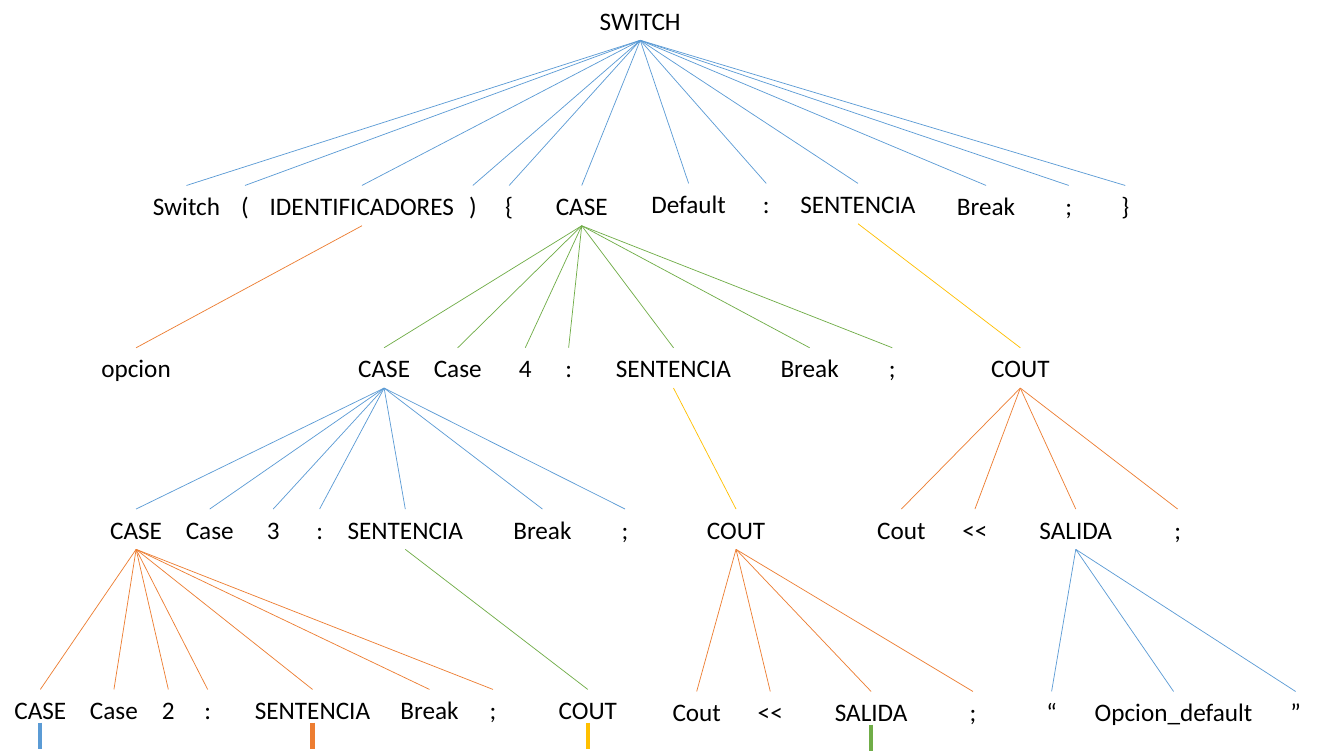
from collections import namedtuple

from lxml import etree
from pptx import Presentation
from pptx.dml.color import RGBColor
from pptx.enum.shapes import MSO_CONNECTOR
from pptx.enum.text import MSO_AUTO_SIZE, PP_ALIGN
from pptx.oxml.ns import qn
from pptx.util import Inches, Pt

COLORS = {"text": "000000", "blue": "5B9BD5", "orange": "ED7D31",
          "green": "70AD47", "gold": "FFC000"}
WIDTHS = {"SWITCH": 1.01, "Switch": 0.88, "IDENTIFICADORES": 2.05, "CASE": 0.72,
          "Default": 0.95, "SENTENCIA": 1.36, "Break": 0.78, "opcion": 0.9,
          "Case": 0.68, "COUT": 0.79, "Cout": 0.69, "<<": 0.45, "SALIDA": 0.93,
          "Opcion_default": 1.78, "4": 0.33, "3": 0.33, "2": 0.33,
          "“": 0.31, "”": 0.31}
SYMBOL_WIDTH = 0.28
NODE_HEIGHT = 0.4
COUT_PARTS = [("Cout", 0), ("<<", 0.73), ("SALIDA", 1.73), (";", 2.74)]

Node = namedtuple("Node", "center top")


def add_line(slide, start, end, color, weight=0.5):
    points = [Inches(value) for value in (*start, *end)]
    line = slide.shapes.add_connector(MSO_CONNECTOR.STRAIGHT, *points)
    line.line.color.rgb = RGBColor.from_string(COLORS[color])
    line.line.width = Pt(weight)
    etree.SubElement(line._element.spPr, qn("a:effectLst"))


def add_node(slide, text, center, top):
    width = WIDTHS.get(text, SYMBOL_WIDTH)
    box = slide.shapes.add_textbox(Inches(center - width / 2), Inches(top),
                                   Inches(width), Inches(NODE_HEIGHT))
    frame = box.text_frame
    frame.word_wrap = False
    frame.auto_size = MSO_AUTO_SIZE.SHAPE_TO_FIT_TEXT
    paragraph = frame.paragraphs[0]
    paragraph.alignment = PP_ALIGN.CENTER
    run = paragraph.add_run()
    run.text = text
    run.font.name = "Calibri"
    run.font.size = Pt(18)
    run.font.color.rgb = RGBColor.from_string(COLORS["text"])
    return Node(center, top)


def add_branch(slide, parent, color, left, top, children):
    nodes = {}
    for text, offset in children:
        nodes[text] = add_node(slide, text, left + offset, top)
        add_line(slide, (parent.center, parent.top + NODE_HEIGHT),
                 (left + offset, top), color)
    return nodes


def add_case(slide, parent, color, left, top, number, offsets):
    parts = ["CASE", "Case", number, ":", "SENTENCIA", "Break", ";"]
    return add_branch(slide, parent, color, left, top, zip(parts, offsets))


def add_cout(slide, parent, color, left, top):
    return add_branch(slide, parent, color, left, top, [("COUT", 0)])["COUT"]


def add_continuation(slide, node, color):
    top = node.top + 0.33
    add_line(slide, (node.center, top), (node.center, top + 0.26), color, 3)


def add_switch_tree(slide, left, top):
    row_2, row_3, row_4, row_5 = (top + y for y in (1.84, 3.45, 5.05, 6.84))
    root = add_node(slide, "SWITCH", left + 6.35, top)
    head = add_branch(slide, root, "blue", left + 1.85, row_2, [
        ("Switch", 0), ("(", 0.58), ("IDENTIFICADORES", 1.74), (")", 2.84),
        ("{", 3.2), ("CASE", 3.92), ("Break", 7.93), (";", 8.75), ("}", 9.31)])
    default = add_branch(slide, root, "blue", left + 6.83, row_2 - 0.02, [
        ("Default", 0), (":", 0.77), ("SENTENCIA", 1.68)])

    add_branch(slide, head["IDENTIFICADORES"], "orange", left + 1.35, row_3,
               [("opcion", 0)])
    case_4 = add_case(slide, head["CASE"], "green", left + 3.81, row_3, "4",
                      [0, 0.73, 1.4, 1.83, 2.87, 4.22, 5.04])
    case_3 = add_case(slide, case_4["CASE"], "blue", left + 1.35, row_4, "3",
                      [0, 0.73, 1.36, 1.82, 2.67, 4.03, 4.85])
    case_2 = add_case(slide, case_3["CASE"], "orange", left + 0.4, row_5, "2",
                      [0, 0.73, 1.27, 1.66, 2.7, 3.86, 4.49])

    cout_default = add_cout(slide, default["SENTENCIA"], "gold", left + 10.12, row_3)
    cout_4 = add_cout(slide, case_4["SENTENCIA"], "gold", left + 7.3, row_4)
    cout_3 = add_cout(slide, case_3["SENTENCIA"], "green", left + 5.83, row_5)
    output_default = add_branch(slide, cout_default, "orange", left + 8.94, row_4,
                                COUT_PARTS)
    output_4 = add_branch(slide, cout_4, "orange", left + 6.91, row_5 + 0.02,
                          COUT_PARTS)
    add_branch(slide, output_default["SALIDA"], "blue", left + 10.43, row_5 + 0.02,
               [("“", 0), ("Opcion_default", 1.21), ("”", 2.42)])

    for node, color in [(case_2["CASE"], "blue"), (case_2["SENTENCIA"], "orange"),
                        (cout_3, "gold"), (output_4["SALIDA"], "green")]:
        add_continuation(slide, node, color)


prs = Presentation()
prs.slide_width = Inches(13.33)
prs.slide_height = Inches(7.5)
add_switch_tree(prs.slides.add_slide(prs.slide_layouts[6]), 0, 0)
prs.save("out.pptx")
